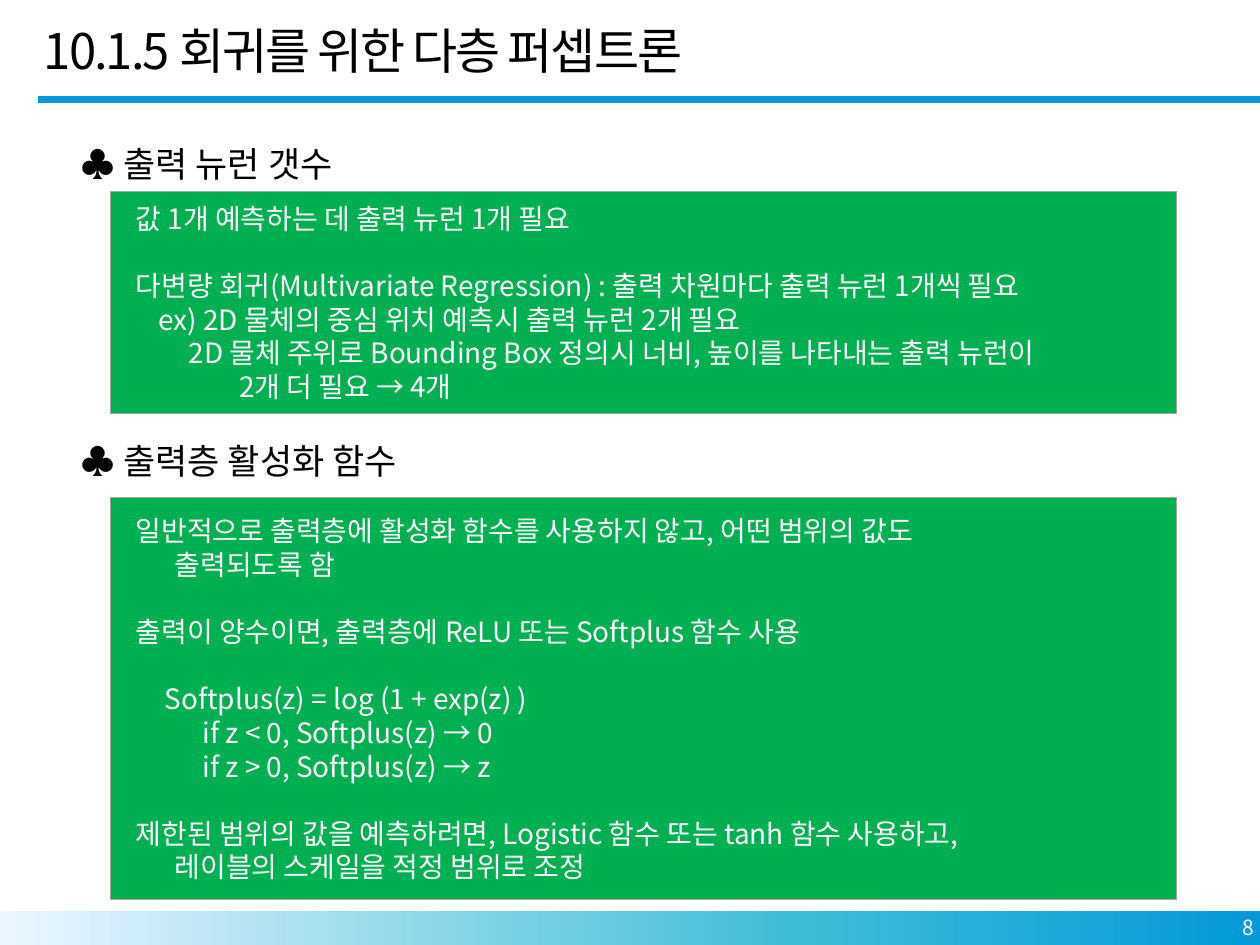
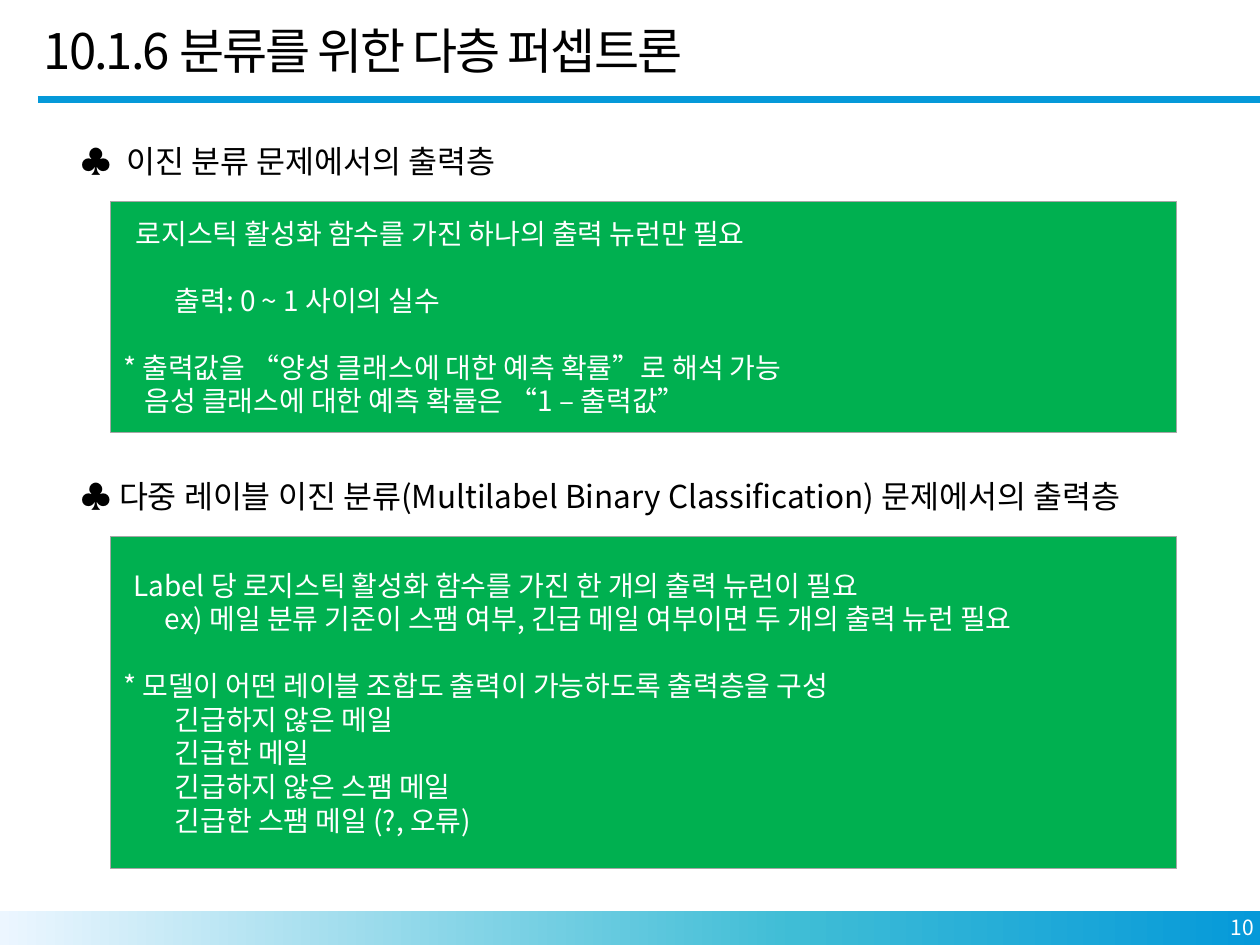
from copy import deepcopy

from pptx import Presentation
from pptx.dml.color import RGBColor
from pptx.enum.shapes import MSO_CONNECTOR, MSO_SHAPE
from pptx.enum.text import MSO_ANCHOR, PP_ALIGN
from pptx.oxml.ns import qn
from pptx.util import Inches, Pt
from lxml.etree import SubElement

FONT = "Noto Sans CJK KR"
COLORS = {
    "text": "000000", "white": "FFFFFF", "rule": "0599D9",
    "panel": "00B050", "panel_line": "A6A6A6",
    "band_right": "0599D9", "band_middle": "3FBDD6", "band_left": "ECF6FF",
}
LINE_HEIGHT = Pt(19.2)
HEADING_LEFT, PANEL_LEFT, PANEL_WIDTH = 0.54, 0.88, 8.46

# Panel lines are (left indent in inches, text, starts a new group)
SLIDES = [
    {
        "title": "10.1.5 회귀를 위한 다층 퍼셉트론", "number": "8", "heading_size": 20,
        "sections": [
            {"heading": "♣ 출력 뉴런 갯수", "heading_box": (1.08, 8.49, 0.44),
             "panel": (1.52, 1.76), "lines": [
                (0.1, "값 1개 예측하는 데 출력 뉴런 1개 필요", False),
                (0.1, "다변량 회귀(Multivariate Regression) : 출력 차원마다 출력 뉴런 1개씩 필요", True),
                (0.28, "ex) 2D 물체의 중심 위치 예측시 출력 뉴런 2개 필요", False),
                (0.52, "2D 물체 주위로 Bounding Box 정의시 너비, 높이를 나타내는 출력 뉴런이", False),
                (0.92, "2개 더 필요 → 4개", False)]},
            {"heading": "♣ 출력층 활성화 함수", "heading_box": (3.44, 8.49, 0.44),
             "panel": (3.95, 3.19), "lines": [
                (0.1, "일반적으로 출력층에 활성화 함수를 사용하지 않고, 어떤 범위의 값도", False),
                (0.41, "출력되도록 함", False),
                (0.1, "출력이 양수이면, 출력층에 ReLU 또는 Softplus 함수 사용", True),
                (0.33, "Softplus(z) = log (1 + exp(z) )", True),
                (0.63, "if z < 0, Softplus(z) → 0", False),
                (0.63, "if z > 0, Softplus(z) → z", False),
                (0.1, "제한된 범위의 값을 예측하려면, Logistic 함수 또는 tanh 함수 사용하고,", True),
                (0.41, "레이블의 스케일을 적정 범위로 조정", False)]},
        ],
    },
    {
        "title": "10.1.6 분류를 위한 다층 퍼셉트론", "number": "10", "heading_size": 18,
        "sections": [
            {"heading": "♣  이진 분류 문제에서의 출력층", "heading_box": (1.08, 8.49, 0.4),
             "panel": (1.6, 1.83), "lines": [
                (0.1, "로지스틱 활성화 함수를 가진 하나의 출력 뉴런만 필요", False),
                (0.41, "출력: 0 ~ 1 사이의 실수", True),
                (0, "* 출력값을 “양성 클래스에 대한 예측 확률”로 해석 가능", True),
                (0.17, "음성 클래스에 대한 예측 확률은 “1 – 출력값”", False)]},
            {"heading": "♣ 다중 레이블 이진 분류(Multilabel Binary Classification) 문제에서의 출력층",
             "heading_box": (3.74, 9.38, 0.4),
             "panel": (4.26, 2.63), "lines": [
                (0.08, "Label 당 로지스틱 활성화 함수를 가진 한 개의 출력 뉴런이 필요", False),
                (0.33, "ex) 메일 분류 기준이 스팸 여부, 긴급 메일 여부이면 두 개의 출력 뉴런 필요", False),
                (0, "* 모델이 어떤 레이블 조합도 출력이 가능하도록 출력층을 구성", True),
                (0.41, "긴급하지 않은 메일", False),
                (0.41, "긴급한 메일", False),
                (0.41, "긴급하지 않은 스팸 메일", False),
                (0.41, "긴급한 스팸 메일 (?, 오류)", False)]},
        ],
    },
]


def color(name):
    return RGBColor.from_string(COLORS[name])


def format_runs(paragraph, size, color_name):
    for run in paragraph.runs:
        run.font.size = Pt(size)
        run.font.name = FONT
        run.font.color.rgb = color(color_name)
        east_asian = SubElement(run.font._element, qn("a:ea"))
        east_asian.set("typeface", FONT)


def add_text(slide, box, text, size, color_name="text"):
    shape = slide.shapes.add_textbox(*map(Inches, box))
    shape.text_frame.word_wrap = True
    shape.text_frame.text = text
    paragraph = shape.text_frame.paragraphs[0]
    format_runs(paragraph, size, color_name)
    return paragraph


def add_rectangle(slide, box):
    shape = slide.shapes.add_shape(MSO_SHAPE.RECTANGLE, *map(Inches, box))
    shape.shadow.inherit = False
    return shape


def add_footer(slide, number):
    # Gradient band, darkest at the right
    band = add_rectangle(slide, (0, 7.23, 10, 0.28))
    band.line.fill.background()
    band.fill.gradient()
    stop_list = band._element.spPr.find(qn("a:gradFill")).find(qn("a:gsLst"))
    stop_list.append(deepcopy(stop_list[-1]))
    stops = [(0, "band_right"), (0.37, "band_middle"), (1, "band_left")]
    for stop, (position, name) in zip(band.fill.gradient_stops, stops):
        stop.position = position
        stop.color.rgb = color(name)
    band.fill.gradient_angle = 180

    # Slide number
    paragraph = add_text(slide, (7.72, 7.21, 2.33, 0.4), number, 12, "white")
    paragraph.alignment = PP_ALIGN.RIGHT


def add_title(slide, title):
    rule = slide.shapes.add_connector(
        MSO_CONNECTOR.STRAIGHT, *map(Inches, (0.3, 0.79, 10, 0.79)))
    rule.line.color.rgb = color("rule")
    rule.line.width = Pt(4.5)
    SubElement(rule._element.spPr, qn("a:effectLst"))

    paragraph = add_text(slide, (0.25, 0.17, 8.09, 0.58), title, 28)
    paragraph.line_spacing = 0.9
    paragraph.runs[0].font._element.set("spc", "-110")


def add_panel(slide, box, lines):
    panel = add_rectangle(slide, box)
    panel.fill.solid()
    panel.fill.fore_color.rgb = color("panel")
    panel.line.color.rgb = color("panel_line")
    panel.line.width = Pt(0.5)

    text_frame = panel.text_frame
    text_frame.word_wrap = True
    text_frame.vertical_anchor = MSO_ANCHOR.MIDDLE
    text_frame.text = "\n".join(text for _, text, _ in lines)
    for paragraph, (indent, _, new_group) in zip(text_frame.paragraphs, lines):
        paragraph.alignment = PP_ALIGN.LEFT
        paragraph.line_spacing = LINE_HEIGHT
        if new_group:
            paragraph.space_before = LINE_HEIGHT
        paragraph._p.get_or_add_pPr().set("marL", str(Inches(indent)))
        format_runs(paragraph, 16, "white")


def add_section(slide, section, heading_size):
    top, width, height = section["heading_box"]
    add_text(slide, (HEADING_LEFT, top, width, height), section["heading"], heading_size)
    top, height = section["panel"]
    add_panel(slide, (PANEL_LEFT, top, PANEL_WIDTH, height), section["lines"])


def add_content_slide(presentation, content):
    slide = presentation.slides.add_slide(presentation.slide_layouts[6])
    add_footer(slide, content["number"])
    add_title(slide, content["title"])
    for section in content["sections"]:
        add_section(slide, section, content["heading_size"])


def main():
    presentation = Presentation()
    presentation.slide_width = Inches(10)
    presentation.slide_height = Inches(7.5)
    for content in SLIDES:
        add_content_slide(presentation, content)
    presentation.save("out.pptx")


if __name__ == "__main__":
    main()
